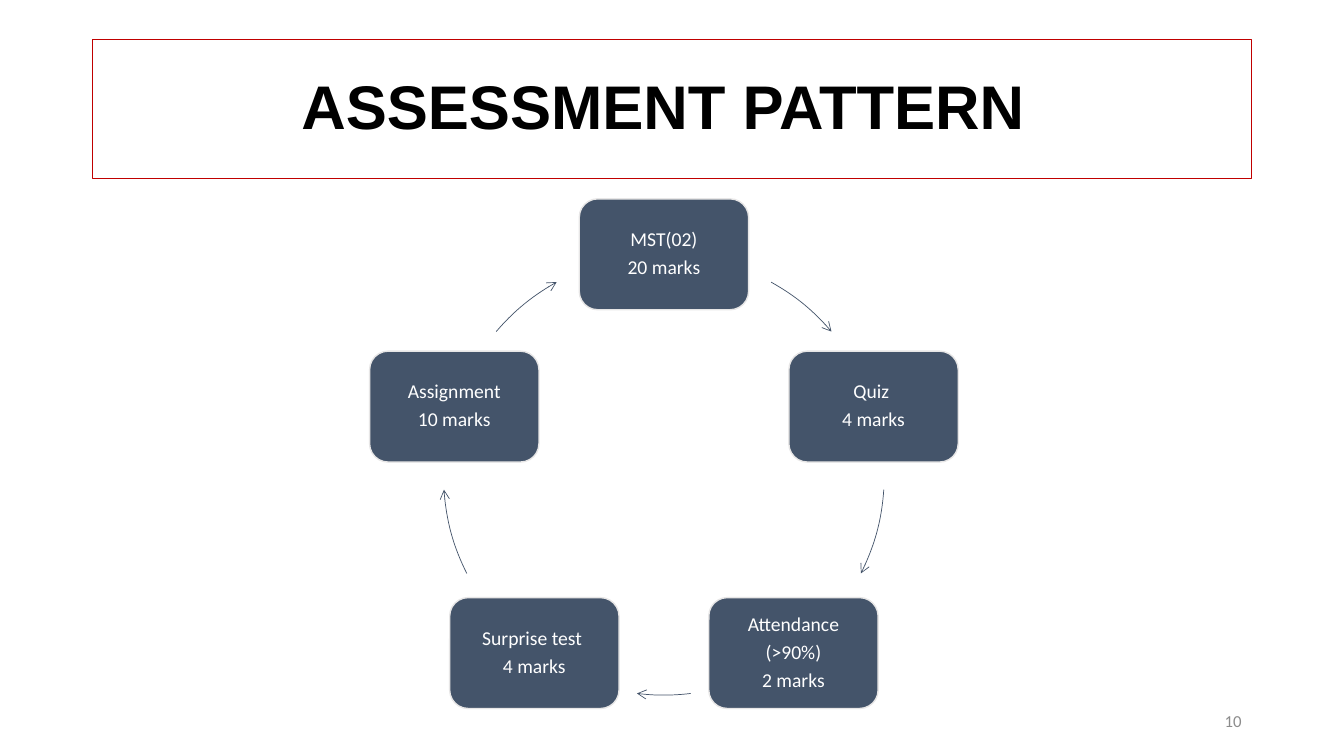
import math
from dataclasses import dataclass
from typing import Any

import lxml.etree
import pptx
import pptx.dml.color
import pptx.enum.shapes
import pptx.enum.text
import pptx.oxml.ns
import pptx.util

SHAPES = pptx.enum.shapes.MSO_SHAPE
ALIGN = pptx.enum.text.PP_ALIGN
MIDDLE = pptx.enum.text.MSO_ANCHOR.MIDDLE

COLUMNS, ROWS = 40, 22.5
CELL = pptx.util.Inches(7.5) / ROWS


@dataclass(frozen=True)
class Theme:
    ink: str = "000000"
    white: str = "FFFFFF"
    slate: str = "44546A"
    pale: str = "E7E6E6"
    red: str = "C00000"
    gray: str = "8C8C8C"
    heading_font: str = "Arial"
    body_font: str = "Calibri"
    heading_size: float = 44
    step_size: float = 14
    number_size: float = 12
    border: float = 1
    hairline: float = 0.5


@dataclass(frozen=True)
class Area:
    column: float
    row: float
    columns: float
    rows: float

    def lengths(self) -> list[int]:
        return [cells(value) for value in (self.column, self.row, self.columns, self.rows)]


@dataclass(frozen=True)
class Ring:
    column: float
    row: float
    radius: float

    def area(self) -> Area:
        side = 2 * self.radius
        return Area(self.column - self.radius, self.row - self.radius, side, side)


@dataclass(frozen=True)
class Step:
    lines: tuple[str, ...]
    arrow_start: float
    arrow_end: float


THEME = Theme()
HEADING = Area(2.75, 1.17, 34.5, 4.2)
FRAME = Area(2.75, 1.17, 34.5, 4.14)
NUMBER = Area(28.25, 20.85, 9, 1.2)
RING = Ring(19.76, 14.13, 6.56)
STEP_COLUMNS, STEP_ROWS = 5.04, 3.3
STEPS = (
    Step(("MST(02)", "20 marks"), 29.1, 49.5),
    Step(("Quiz ", "4 marks"), 93.9, 116.6),
    Step(("Attendance", "(>90%)", "2 marks"), 173, 187),
    Step(("Surprise test ", "4 marks"), 243.4, 266.1),
    Step(("Assignment", "10 marks"), 310.5, 330.9),
)


def cells(count: float) -> int:
    return round(count * CELL)


def color(code: str) -> Any:
    return pptx.dml.color.RGBColor.from_string(code)


def apply(target: Any, values: dict[str, Any]) -> None:
    for name, value in values.items():
        setattr(target, name, value)


def write(box: Any, lines: tuple[str, ...], font: dict[str, Any],
          layout: dict[str, Any], code: str) -> None:
    frame = box.text_frame
    apply(frame, {"word_wrap": True, "vertical_anchor": MIDDLE})
    for index, line in enumerate(lines):
        para = frame.paragraphs[0] if index == 0 else frame.add_paragraph()
        apply(para, layout)
        span = para.add_run()
        span.text = line
        apply(span.font, font)
        span.font.color.rgb = color(code)


def draw_shape(page: Any, kind: Any, area: Area, line: str, width: float,
               fill: str | None = None) -> Any:
    shape = page.shapes.add_shape(kind, *area.lengths())
    shape.shadow.inherit = False
    if fill is None:
        shape.fill.background()
    else:
        shape.fill.solid()
        shape.fill.fore_color.rgb = color(fill)
    shape.line.color.rgb = color(line)
    shape.line.width = pptx.util.Pt(width)
    return shape


def draw_step(page: Any, step: Step, angle: float) -> None:
    column = RING.column + RING.radius * math.sin(angle) - STEP_COLUMNS / 2
    row = RING.row - RING.radius * math.cos(angle) - STEP_ROWS / 2
    box = draw_shape(page, SHAPES.ROUNDED_RECTANGLE,
                     Area(column, row, STEP_COLUMNS, STEP_ROWS),
                     THEME.pale, THEME.border, THEME.slate)
    inset = pptx.util.Inches(0.06)
    sides = ("margin_left", "margin_top", "margin_right", "margin_bottom")
    apply(box.text_frame, dict.fromkeys(sides, inset))
    write(box, step.lines,
          {"name": THEME.body_font, "size": pptx.util.Pt(THEME.step_size)},
          {"alignment": ALIGN.CENTER, "line_spacing": 0.9,
           "space_after": pptx.util.Pt(0.35 * THEME.step_size)},
          THEME.white)


def draw_arrow(page: Any, step: Step) -> None:
    arc = draw_shape(page, SHAPES.ARC, RING.area(), THEME.slate, THEME.hairline)
    for index, degrees in enumerate((step.arrow_start, step.arrow_end)):
        arc.adjustments[index] = (degrees - 90) % 360 * 0.6
    outline = arc.line._get_or_add_ln()
    lxml.etree.SubElement(outline, pptx.oxml.ns.qn("a:tailEnd"), type="arrow")


def main() -> None:
    deck = pptx.Presentation()
    apply(deck, {"slide_width": cells(COLUMNS), "slide_height": cells(ROWS)})
    page = deck.slides.add_slide(deck.slide_layouts[6])

    heading = page.shapes.add_textbox(*HEADING.lengths())
    write(heading, ("ASSESSMENT PATTERN ",),
          {"name": THEME.heading_font, "size": pptx.util.Pt(THEME.heading_size), "bold": True},
          {"alignment": ALIGN.CENTER, "line_spacing": 0.9}, THEME.ink)
    number = page.shapes.add_textbox(*NUMBER.lengths())
    write(number, ("10",),
          {"name": THEME.body_font, "size": pptx.util.Pt(THEME.number_size)},
          {"alignment": ALIGN.RIGHT}, THEME.gray)
    draw_shape(page, SHAPES.RECTANGLE, FRAME, THEME.red, THEME.border)

    for index, step in enumerate(STEPS):
        draw_step(page, step, math.tau * index / len(STEPS))
        draw_arrow(page, step)

    deck.save("out.pptx")


if __name__ == "__main__":
    main()
